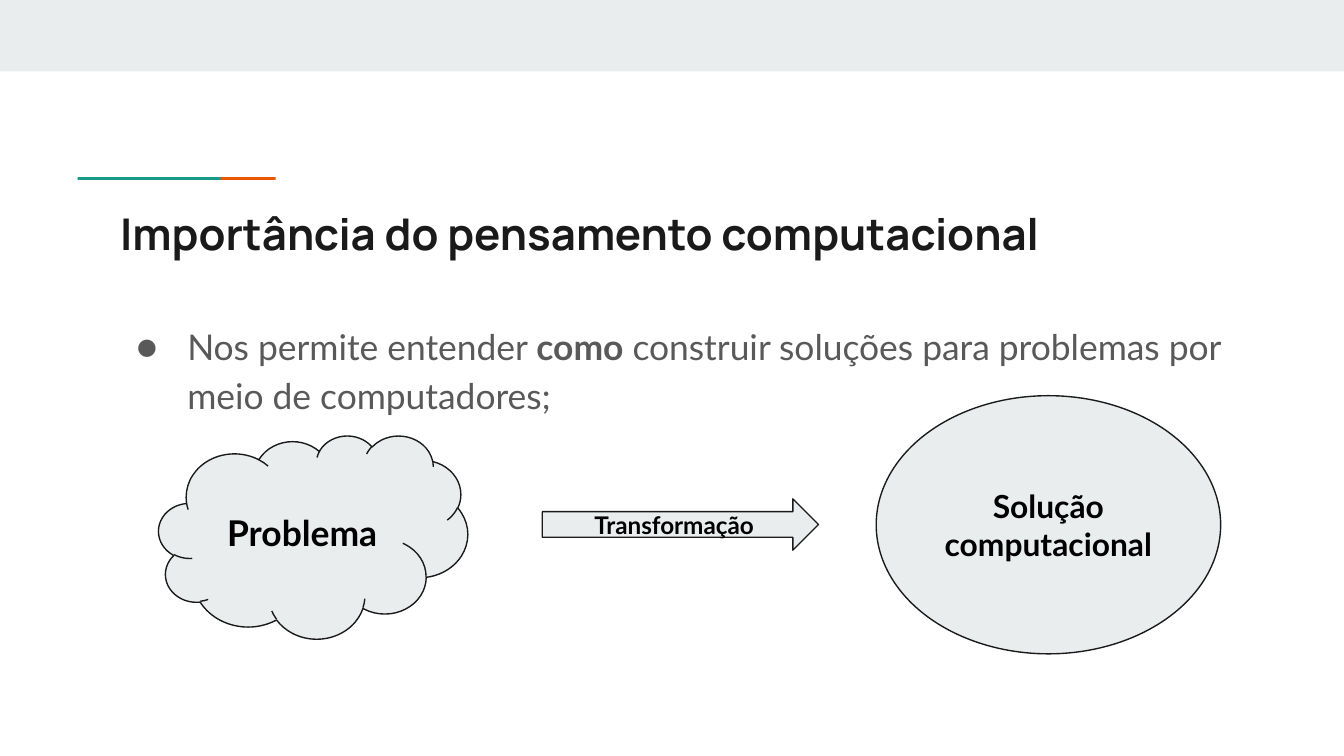
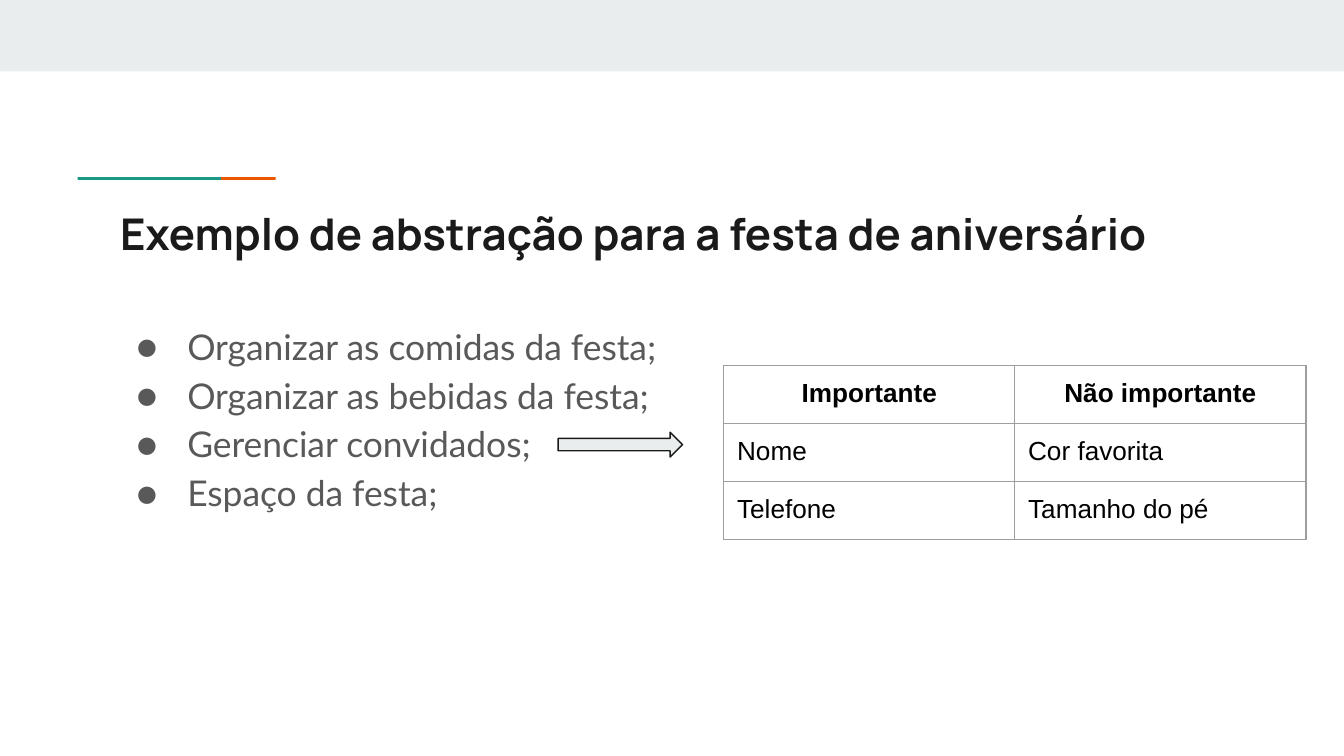
from dataclasses import dataclass

from lxml import etree
from pptx import Presentation
from pptx.dml.color import RGBColor
from pptx.enum.shapes import MSO_SHAPE
from pptx.enum.text import MSO_ANCHOR, PP_ALIGN
from pptx.oxml.ns import qn
from pptx.util import Cm, Pt

CLOUD = MSO_SHAPE.CLOUD
ELLIPSE = MSO_SHAPE.OVAL
RECTANGLE = MSO_SHAPE.RECTANGLE
RIGHT_ARROW = MSO_SHAPE.RIGHT_ARROW
MIDDLE = MSO_ANCHOR.MIDDLE
TOP = MSO_ANCHOR.TOP
CENTER = PP_ALIGN.CENTER
LEFT = PP_ALIGN.LEFT

PALE_GRAY = RGBColor(0xE9, 0xED, 0xEE)
TEAL = RGBColor(0x1A, 0x99, 0x88)
ORANGE = RGBColor(0xEB, 0x56, 0x00)
INK = RGBColor(0x1A, 0x1A, 0x1A)
BODY_GRAY = RGBColor(0x59, 0x59, 0x59)
BORDER_GRAY = RGBColor(0x9E, 0x9E, 0x9E)
BLACK = RGBColor(0, 0, 0)

TITLE_FONT = "Manrope"
BODY_FONT = "Lato"
TABLE_FONT = "Arial"

INSET = Cm(0.25)
CONTENT_LEFT = 2.02
CONTENT_WIDTH = 21.36
LINE_WIDTH = Pt(0.75)


@dataclass(frozen=True)
class Box:
    left: float
    top: float
    width: float
    height: float

    def lengths(self):
        return Cm(self.left), Cm(self.top), Cm(self.width), Cm(self.height)


@dataclass(frozen=True)
class Band:
    box: Box
    color: RGBColor


@dataclass(frozen=True)
class Diagram:
    kind: int
    box: Box
    text: str = ""
    size: float = 19


@dataclass(frozen=True)
class Segment:
    text: str
    bold: bool = False


BANDS = (
    Band(Box(0, 0, 25.4, 1.35), PALE_GRAY),
    Band(Box(1.47, 3.35, 2.71, 0.05), TEAL),
    Band(Box(4.18, 3.35, 1.03, 0.05), ORANGE),
)
TITLE_BOX = Box(CONTENT_LEFT, 3.66, CONTENT_WIDTH, 1.5)

IMPORTANCE_BULLETS = (
    (
        Segment("Nos permite entender "),
        Segment("como", True),
        Segment(" construir soluções para problemas por meio de computadores;"),
    ),
)
IMPORTANCE_DIAGRAMS = (
    Diagram(ELLIPSE, Box(16.56, 7.48, 6.51, 4.88), "Solução\ncomputacional", 17),
    Diagram(CLOUD, Box(3, 8.23, 5.84, 3.84), "Problema"),
    Diagram(RIGHT_ARROW, Box(10.25, 9.43, 5.22, 0.97), "Transformação", 13),
)

PARTY_BULLETS = (
    (Segment("Organizar as comidas da festa;"),),
    (Segment("Organizar as bebidas da festa;"),),
    (Segment("Gerenciar convidados;"),),
    (Segment("Espaço da festa;"),),
)
PARTY_ARROW = Diagram(RIGHT_ARROW, Box(10.55, 8.17, 2.35, 0.47))
GUEST_ROWS = (
    ("Importante", "Não importante"),
    ("Nome", "Cor favorita"),
    ("Telefone", "Tamanho do pé"),
)
GUEST_TABLE_LEFT = 13.68
GUEST_TABLE_TOP = 6.91
COLUMN_WIDTH = 5.5
ROW_HEIGHT = 1.06


def set_frame(text_frame, anchor):
    text_frame.word_wrap = True
    text_frame.vertical_anchor = anchor
    text_frame.margin_left = text_frame.margin_right = INSET
    text_frame.margin_top = text_frame.margin_bottom = INSET


def format_run(run, name: str, size: float, color: RGBColor, bold: bool) -> None:
    run.font.name = name
    run.font.size = Pt(size)
    run.font.color.rgb = color
    run.font.bold = bold


def format_text(text_frame, name: str, size: float, color: RGBColor, bold: bool, alignment) -> None:
    for paragraph in text_frame.paragraphs:
        paragraph.alignment = alignment
        for run in paragraph.runs:
            format_run(run, name, size, color, bold)


def add_band(slide, band: Band) -> None:
    shape = slide.shapes.add_shape(RECTANGLE, *band.box.lengths())
    shape.shadow.inherit = False
    shape.fill.solid()
    shape.fill.fore_color.rgb = band.color
    shape.line.fill.background()


def add_titled_slide(presentation, title: str):
    slide = presentation.slides.add_slide(presentation.slide_layouts[6])
    for band in BANDS:
        add_band(slide, band)
    text_frame = slide.shapes.add_textbox(*TITLE_BOX.lengths()).text_frame
    set_frame(text_frame, TOP)
    text_frame.text = title
    format_text(text_frame, TITLE_FONT, 23.4, INK, True, LEFT)
    return slide


def set_bullet(paragraph) -> None:
    properties = paragraph._p.get_or_add_pPr()
    properties.set("marL", str(Cm(1.27)))
    properties.set("indent", str(-Cm(0.96)))
    color = etree.SubElement(properties, qn("a:buClr"))
    etree.SubElement(color, qn("a:srgbClr"), val=str(BODY_GRAY))
    etree.SubElement(properties, qn("a:buFont"), typeface=BODY_FONT)
    etree.SubElement(properties, qn("a:buChar"), char="●")


def add_bullets(slide, bullets: tuple, width: float) -> None:
    box = Box(CONTENT_LEFT, 5.77, width, 6.27)
    text_frame = slide.shapes.add_textbox(*box.lengths()).text_frame
    set_frame(text_frame, TOP)
    for index, segments in enumerate(bullets):
        paragraph = text_frame.add_paragraph() if index else text_frame.paragraphs[0]
        set_bullet(paragraph)
        paragraph.line_spacing = 1.15
        for segment in segments:
            run = paragraph.add_run()
            run.text = segment.text
            format_run(run, BODY_FONT, 19, BODY_GRAY, segment.bold)


def add_diagram(slide, diagram: Diagram) -> None:
    shape = slide.shapes.add_shape(diagram.kind, *diagram.box.lengths())
    shape.shadow.inherit = False
    shape.fill.solid()
    shape.fill.fore_color.rgb = PALE_GRAY
    shape.line.color.rgb = INK
    shape.line.width = LINE_WIDTH
    if diagram.text:
        set_frame(shape.text_frame, MIDDLE)
        shape.text_frame.text = diagram.text
        format_text(shape.text_frame, BODY_FONT, diagram.size, BLACK, True, CENTER)


def set_borders(cell) -> None:
    properties = cell._tc.get_or_add_tcPr()
    for position, side in enumerate(("lnL", "lnR", "lnT", "lnB")):
        border = etree.Element(qn(f"a:{side}"), w=str(LINE_WIDTH))
        fill = etree.SubElement(border, qn("a:solidFill"))
        etree.SubElement(fill, qn("a:srgbClr"), val=str(BORDER_GRAY))
        properties.insert(position, border)


def add_guest_table(slide) -> None:
    row_count, column_count = len(GUEST_ROWS), len(GUEST_ROWS[0])
    box = Box(GUEST_TABLE_LEFT, GUEST_TABLE_TOP, COLUMN_WIDTH * column_count, ROW_HEIGHT * row_count)
    table = slide.shapes.add_table(row_count, column_count, *box.lengths()).table
    table.first_row = False
    table.horz_banding = False
    for row_index, texts in enumerate(GUEST_ROWS):
        is_header = row_index == 0
        for column_index, text in enumerate(texts):
            cell = table.cell(row_index, column_index)
            cell.margin_left = cell.margin_right = INSET
            cell.margin_top = cell.margin_bottom = INSET
            cell.fill.background()
            set_borders(cell)
            cell.text_frame.text = text
            alignment = CENTER if is_header else LEFT
            format_text(cell.text_frame, TABLE_FONT, 14, BLACK, is_header, alignment)


def build_importance_slide(presentation) -> None:
    slide = add_titled_slide(presentation, "Importância do pensamento computacional")
    add_bullets(slide, IMPORTANCE_BULLETS, CONTENT_WIDTH)
    for diagram in IMPORTANCE_DIAGRAMS:
        add_diagram(slide, diagram)


def build_party_slide(presentation) -> None:
    slide = add_titled_slide(presentation, "Exemplo de abstração para a festa de aniversário")
    add_bullets(slide, PARTY_BULLETS, 10.87)
    add_diagram(slide, PARTY_ARROW)
    add_guest_table(slide)


def main() -> None:
    presentation = Presentation()
    presentation.slide_width = Cm(25.4)
    presentation.slide_height = Cm(14.29)
    build_importance_slide(presentation)
    build_party_slide(presentation)
    presentation.save("out.pptx")


if __name__ == "__main__":
    main()
